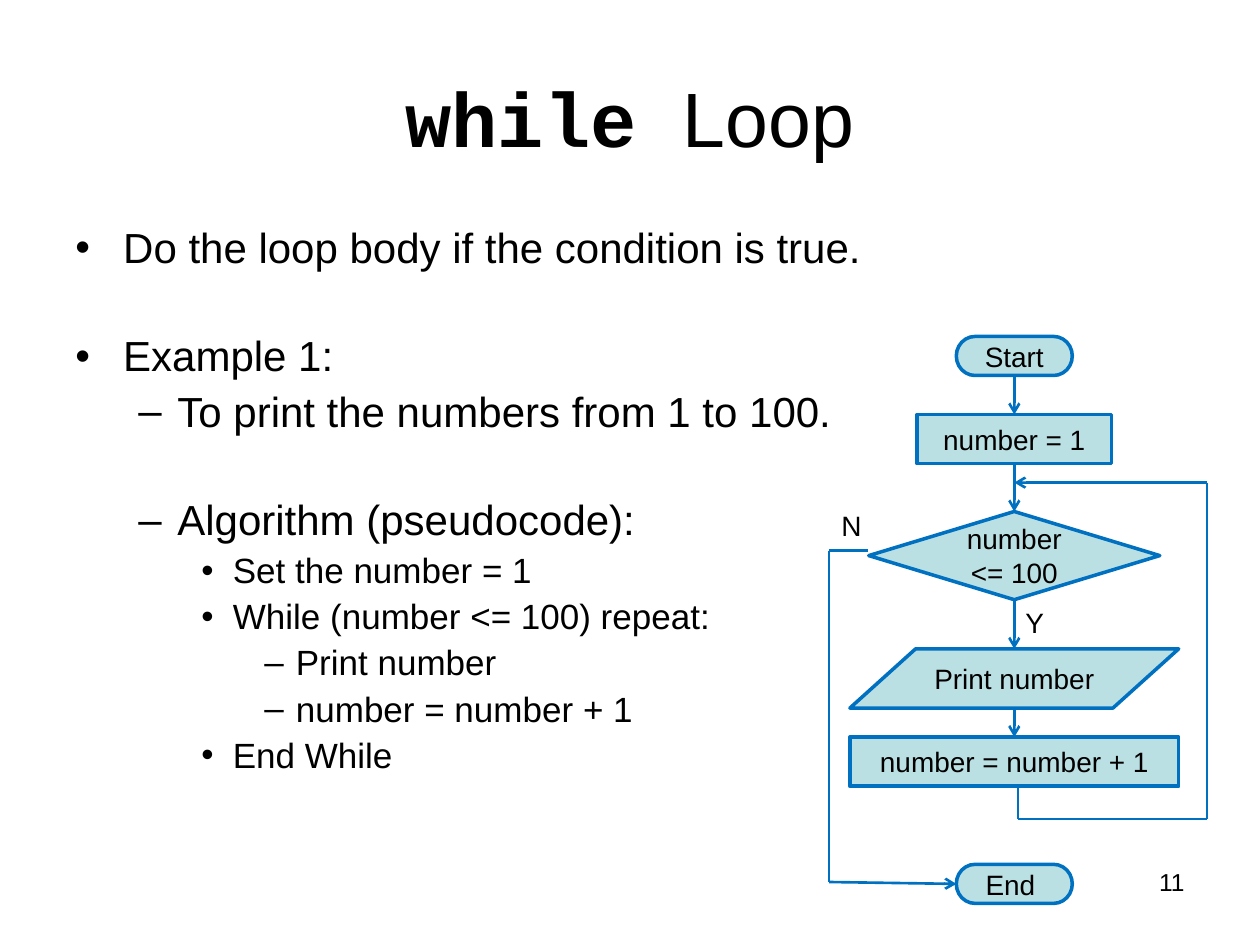
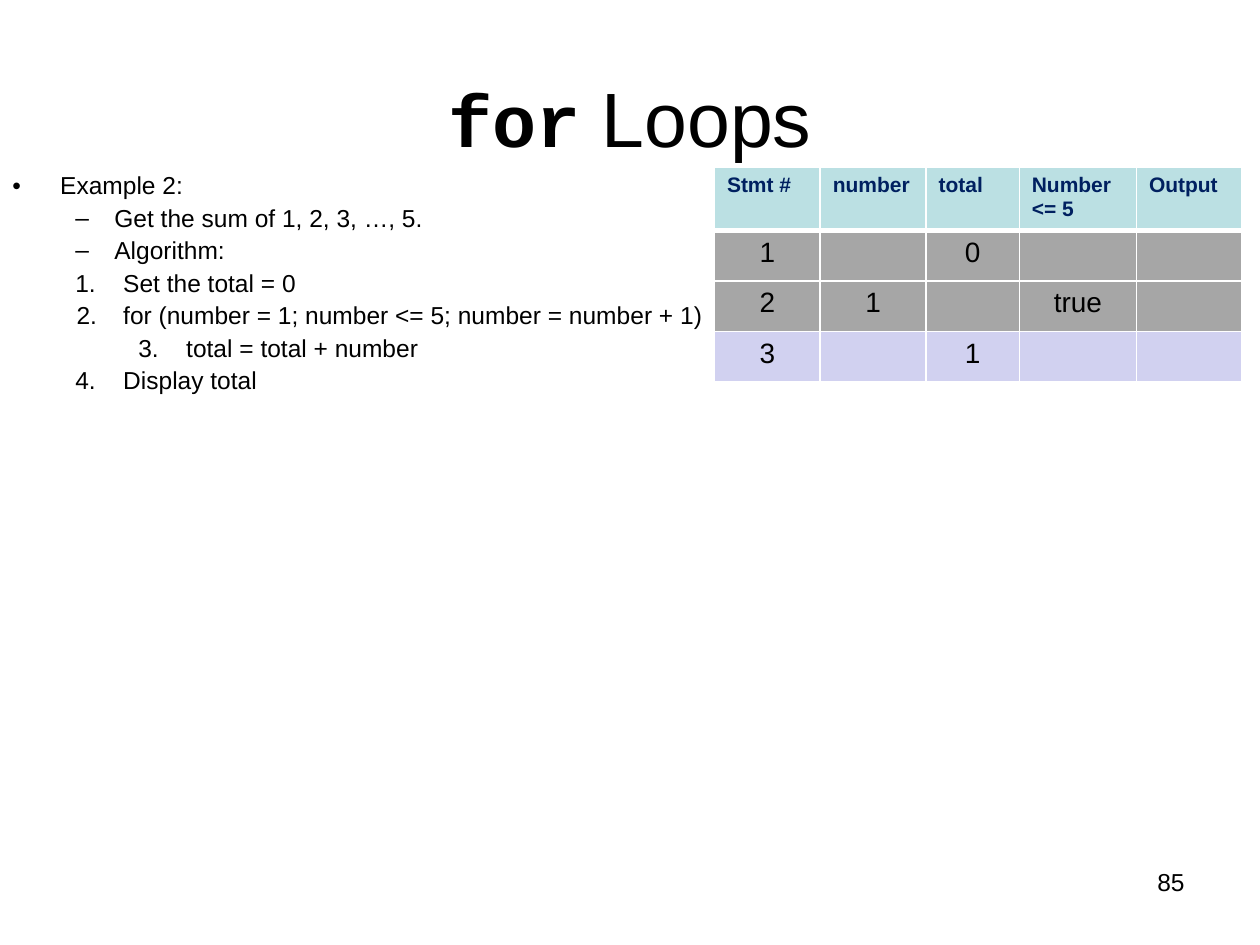
"""Build two lecture slides: a while-loop flowchart and a for-loop trace table."""
from lxml import etree
from pptx import Presentation
from pptx import util as u
from pptx.dml.color import RGBColor
from pptx.enum import shapes, text
from pptx.oxml.ns import qn

COLORS = {"ink": "000000", "navy": "002060", "blue": "0070C0", "aqua": "BBE0E3",
          "gray": "A6A6A6", "lilac": "D1D1F0", "white": "FFFFFF"}
SANS, MONO = "Arial", "Courier New"
LINE_SPACING, SPACE_RATIO, GAP_RATIO = 0.9, 0.24, 1.51

INDENTS = {"bullet": (0, 0.38, 0.38, "•"), "dash": (1, 0.81, 0.31, "–"),
           "point": (2, 1.25, 0.25, "•"), "subdash": (3, 1.75, 0.25, "–"),
           "step 1": (1, 0.88, 0.38, 1), "step 2": (2, 0.88, 0.37, 2),
           "inner step": (2, 1.38, 0.38, 2), "step 4": (1, 0.88, 0.38, 4)}

WHILE_TITLE = [("while ", MONO, 44, True), ("Loop", SANS, 44, False)]
WHILE_BODY = [
    ("bullet", "Do the loop body if the condition is true.", 24, False),
    ("bullet", "Example 1:", 24, True),
    ("dash", "To print the numbers from 1 to 100.", 24, False),
    ("dash", "Algorithm (pseudocode):", 24, True),
    ("point", "Set the number = 1", 20, False),
    ("point", "While (number <= 100) repeat:", 20, False),
    ("subdash", "Print number", 20, False),
    ("subdash", "number = number + 1", 20, False),
    ("point", "End While", 20, False),
]
FLOW_CENTER = 8.05
FLOW_STEPS = [
    ("start", "Start", "FLOWCHART_TERMINATOR", 2.67, 0.92, 0.31),
    ("init", "number = 1", "FLOWCHART_PROCESS", 3.29, 1.54, 0.39),
    ("test", "number <= 100", "FLOWCHART_DECISION", 4.06, 2.31, 0.7),
    ("print", "Print number", "FLOWCHART_DATA", 5.15, 2.61, 0.47),
    ("increment", "number = number + 1", "FLOWCHART_PROCESS", 5.85, 2.61, 0.39),
    ("end", "End ", "FLOWCHART_TERMINATOR", 6.86, 0.92, 0.31),
]
REPEAT_ROUTE = [(8.08, 6.25), (8.08, 6.5), (9.58, 6.5), (9.58, 3.83), (8.05, 3.83)]
EXIT_ROUTE = [(6.89, 4.37), (6.58, 4.37), (6.58, 7), (7.58, 7.01)]
BRANCH_LABELS = [("Y", (8.04, 4.76, 0.35, 0.37)), ("N", (6.58, 3.99, 0.37, 0.38))]

FOR_TITLE = [("for", MONO, 42, True), (" Loops", SANS, 44, False)]
FOR_BODY = [(kind, line, 14, False) for kind, line in [
    ("bullet", "Example 2:"),
    ("dash", "Get the sum of 1, 2, 3, …, 5."),
    ("dash", "Algorithm:"),
    ("step 1", "Set the total = 0"),
    ("step 2", "for (number = 1; number <= 5; number = number + 1)"),
    ("inner step", "total = total + number"),
    ("step 4", "Display total"),
]]
TRACE_COLUMNS = [("Stmt #", 0.84), ("number", 0.84), ("total", 0.74),
                 ("Number <= 5", 0.93), ("Output", 0.84)]
TRACE_ROWS = [("gray", ["1", "", "0", "", ""]),
              ("gray", ["2", "1", "", "true", ""]),
              ("lilac", ["3", "", "1", "", ""])]


def rgb(color):
    return RGBColor.from_string(COLORS[color])


def apply(target, formats):
    for name, value in formats.items():
        setattr(target, name, value)


def add_run(paragraph, words, size, font=SANS, bold=False, color="ink"):
    run = paragraph.add_run()
    run.text = words
    apply(run.font, {"name": font, "size": u.Pt(size), "bold": bold})
    run.font.color.rgb = rgb(color)


def add_frame(slide, box, **formats):
    frame = slide.shapes.add_textbox(*map(u.Inches, box)).text_frame
    apply(frame, {"word_wrap": True, **formats})
    return frame


def add_body(slide, box, lines):
    frame = add_frame(slide, box)
    for index, (kind, words, size, gap) in enumerate(lines):
        paragraph = frame.add_paragraph() if index else frame.paragraphs[0]
        level, left, hang, marker = INDENTS[kind]
        apply(paragraph, {"level": level, "line_spacing": LINE_SPACING})
        if index:
            paragraph.space_before = u.Pt(round(size * (GAP_RATIO if gap else SPACE_RATIO), 1))
        props = paragraph._p.get_or_add_pPr()
        props.set("marL", str(u.Inches(left)))
        props.set("indent", str(-u.Inches(hang)))
        if isinstance(marker, int):
            etree.SubElement(props, qn("a:buFont"), typeface="+mj-lt")
            etree.SubElement(props, qn("a:buAutoNum"), type="arabicPeriod", startAt=str(marker))
        else:
            etree.SubElement(props, qn("a:buFont"), typeface=SANS)
            etree.SubElement(props, qn("a:buChar"), char=marker)
        add_run(paragraph, words, size)


def add_lecture_slide(deck, title, body_box, body, number):
    slide = deck.slides.add_slide(deck.slide_layouts[6])
    heading = add_frame(slide, (0.5, 0.3, 9, 1.25),
                        vertical_anchor=text.MSO_ANCHOR.MIDDLE).paragraphs[0]
    heading.alignment = text.PP_ALIGN.CENTER
    for words, font, size, bold in title:
        add_run(heading, words, size, font, bold)
    add_body(slide, body_box, body)
    page = add_frame(slide, (7.17, 6.83, 2.33, 0.52)).paragraphs[0]
    page.alignment = text.PP_ALIGN.RIGHT
    add_run(page, number, 14)
    return slide


def add_step(slide, words, preset, top, width, height):
    box = (FLOW_CENTER - width / 2, top, width, height)
    step = slide.shapes.add_shape(shapes.MSO_SHAPE[preset], *map(u.Inches, box))
    step.shadow.inherit = False
    step.fill.solid()
    step.fill.fore_color.rgb = rgb("aqua")
    step.line.color.rgb = rgb("blue")
    step.line.width = u.Pt(2)
    apply(step.text_frame, {"word_wrap": True, "vertical_anchor": text.MSO_ANCHOR.MIDDLE})
    paragraph = step.text_frame.paragraphs[0]
    paragraph.alignment = text.PP_ALIGN.CENTER
    add_run(paragraph, words, 16)
    return step


def add_link(slide, start, finish, arrow=False, width=1.5):
    link = slide.shapes.add_connector(shapes.MSO_CONNECTOR.STRAIGHT,
                                      *map(u.Inches, start + finish))
    link.line.color.rgb = rgb("blue")
    link.line.width = u.Pt(width)
    props = link._element.spPr
    if arrow:
        etree.SubElement(props.find(qn("a:ln")), qn("a:tailEnd"), type="arrow")
    etree.SubElement(props, qn("a:effectLst"))
    return link


def add_flowchart(slide):
    steps = {key: add_step(slide, *rest) for key, *rest in FLOW_STEPS}
    for above, below in zip(FLOW_STEPS[:-2], FLOW_STEPS[1:-1]):
        link = add_link(slide, (FLOW_CENTER, above[3] + above[5]),
                        (FLOW_CENTER, below[3]), arrow=True)
        if above[0] != "print":
            link.begin_connect(steps[above[0]], 2)
        if below[0] != "print":
            link.end_connect(steps[below[0]], 0)
    for route in (REPEAT_ROUTE, EXIT_ROUTE):
        for start, finish in zip(route, route[1:]):
            link = add_link(slide, start, finish, arrow=finish == route[-1],
                            width=1 if start == REPEAT_ROUTE[0] else 1.5)
    link.end_connect(steps["end"], 1)
    for words, box in BRANCH_LABELS:
        add_run(add_frame(slide, box, word_wrap=False).paragraphs[0], words, 16)


def fill_cell(cell, words, fill, borders, align, **font):
    cell.fill.solid()
    cell.fill.fore_color.rgb = rgb(fill)
    props = cell._tc.get_or_add_tcPr()
    for index, (side, width) in enumerate(borders.items()):
        edge = etree.Element(qn(f"a:ln{side}"), w=str(u.Pt(width)))
        paint = etree.SubElement(edge, qn("a:solidFill"))
        etree.SubElement(paint, qn("a:srgbClr"), val=COLORS["white"])
        props.insert(index, edge)
    if words:
        paragraph = cell.text_frame.paragraphs[0]
        paragraph.alignment = align
        add_run(paragraph, words, **font)


def add_trace(slide):
    heights = [0.48] + [0.4] * len(TRACE_ROWS)
    names, widths = zip(*TRACE_COLUMNS)
    box = (5.67, 1.33, sum(widths), sum(heights))
    trace = slide.shapes.add_table(len(heights), len(widths), *map(u.Inches, box)).table
    trace.horz_banding = False
    for column, width in zip(trace.columns, widths):
        column.width = u.Inches(width)
    for row, height in zip(trace.rows, heights):
        row.height = u.Inches(height)
    header = {"align": text.PP_ALIGN.LEFT, "size": 12, "bold": True, "color": "navy"}
    value = {"align": text.PP_ALIGN.CENTER, "size": 16}
    for r, (fill, words) in enumerate([("aqua", names)] + TRACE_ROWS):
        borders = {"L": 1, "R": 1, "T": 3 if r == 1 else 1, "B": 1 if r else 3}
        for c, word in enumerate(words):
            fill_cell(trace.cell(r, c), word, fill, borders, **(value if r else header))


def main():
    deck = Presentation()
    apply(deck, {"slide_width": u.Inches(10), "slide_height": u.Inches(7.5)})
    add_flowchart(add_lecture_slide(deck, WHILE_TITLE, (0.5, 1.75, 9, 4.95), WHILE_BODY, "11"))
    add_trace(add_lecture_slide(deck, FOR_TITLE, (0, 1.33, 6.2, 2.15), FOR_BODY, "85"))
    deck.save("out.pptx")


if __name__ == "__main__":
    main()
